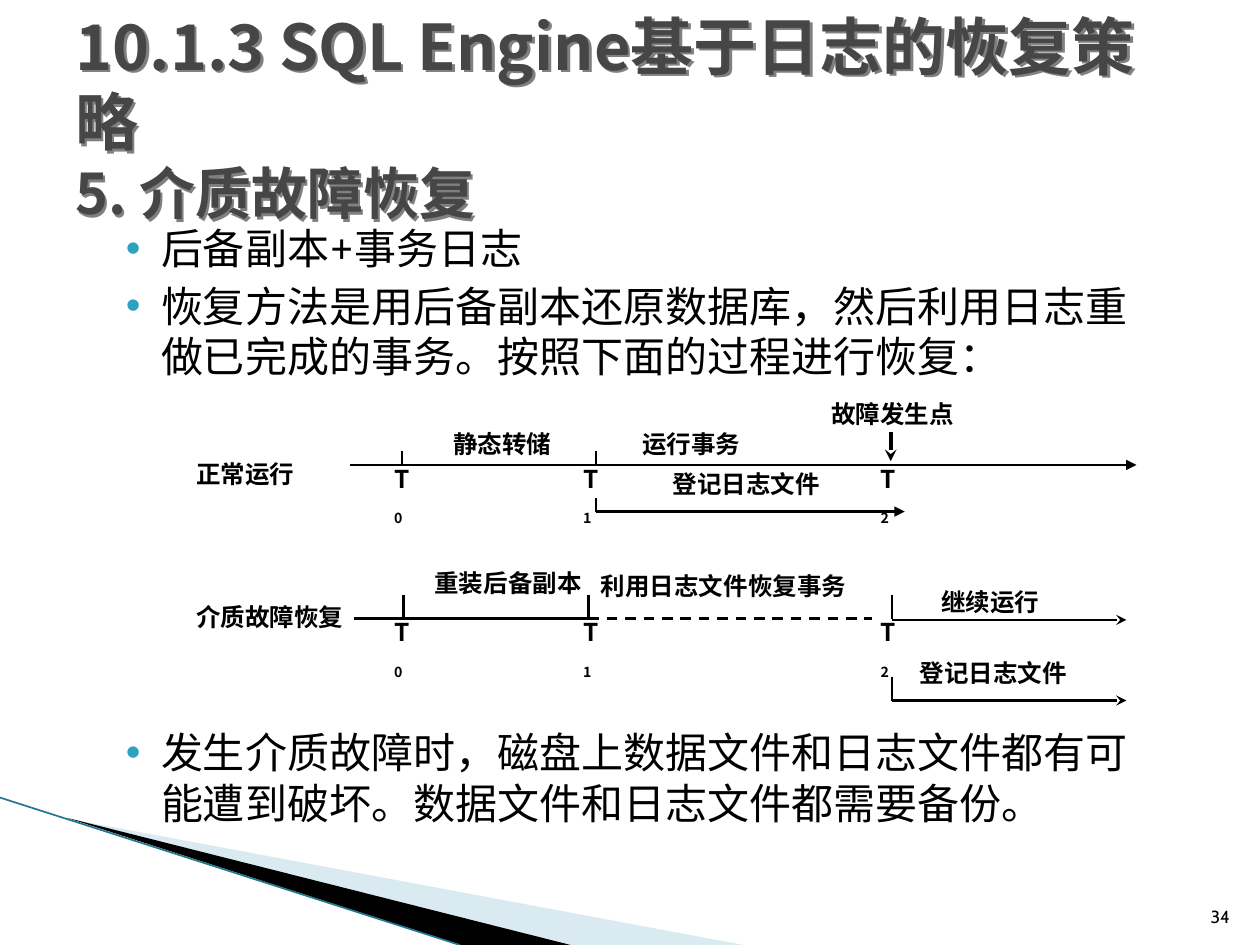
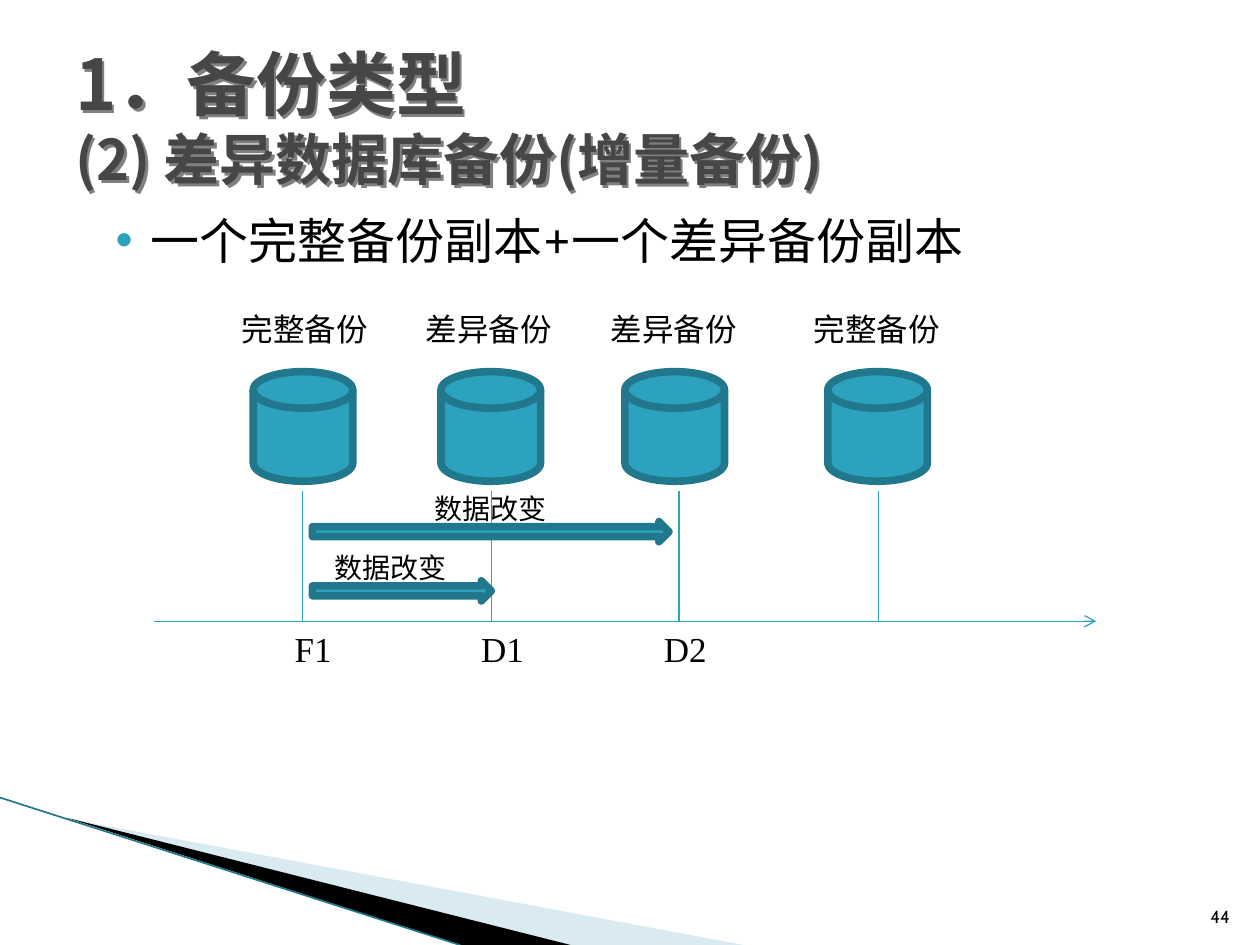
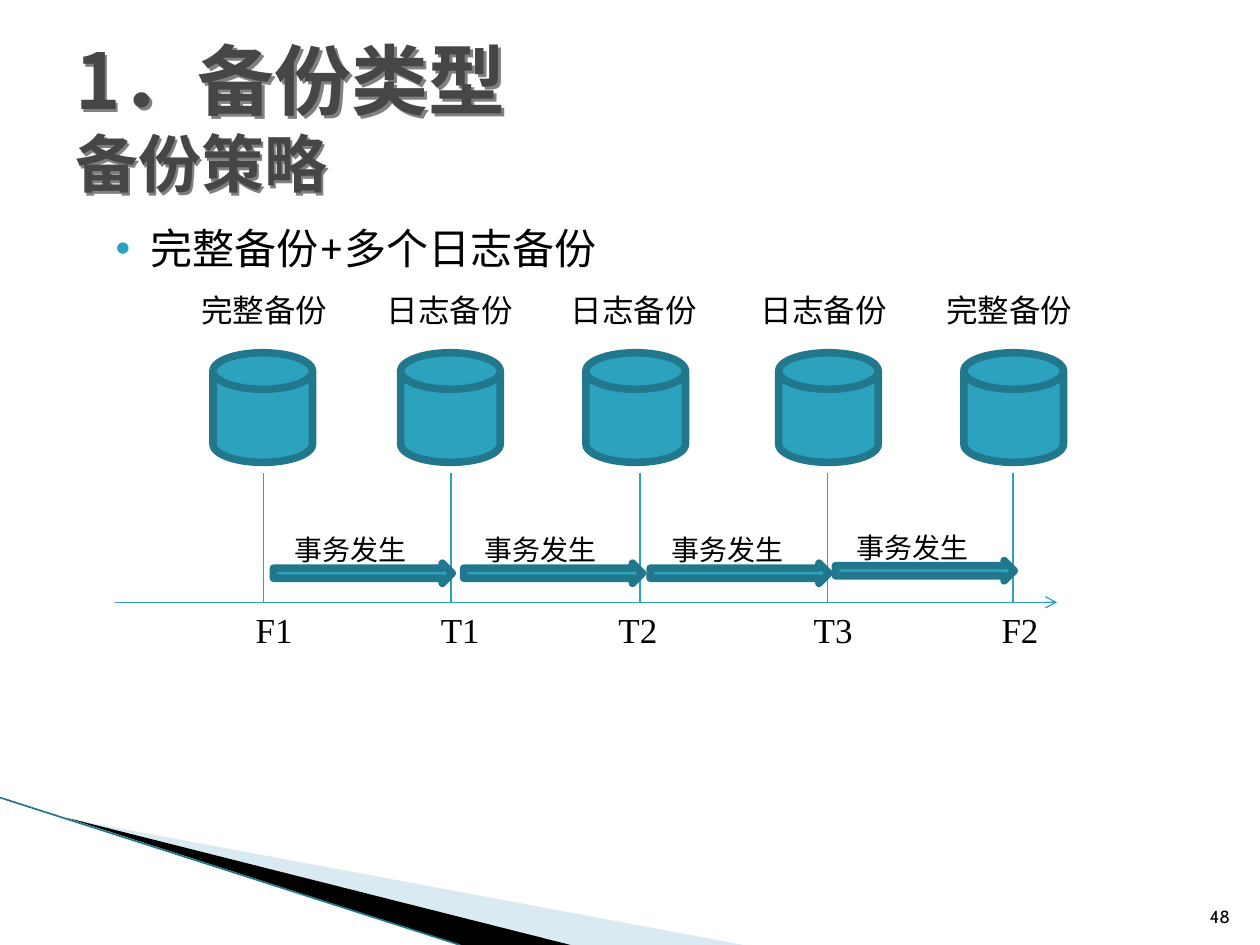
from lxml.etree import SubElement
from pptx import Presentation
from pptx.dml.color import RGBColor
from pptx.enum.dml import MSO_LINE_DASH_STYLE as DASH
from pptx.enum.shapes import MSO_CONNECTOR, MSO_SHAPE
from pptx.enum.text import MSO_ANCHOR, PP_ALIGN
from pptx.oxml.ns import qn
from pptx.util import Inches, Pt

COLORS = {"black": "000000", "title": "464646", "title_shadow": "808080",
          "teal": "2DA2BF", "dark_teal": "21788D", "pale": "A0CBDC"}
CJK, MONO, SANS, SERIF = "Noto Sans CJK SC", "Noto Sans Mono", "Cabin", "Times New Roman"

RECOVERY = {
    "number": 34,
    "title": [("10.1.3 SQL Engine基于日志的恢复策略", 36), ("5. 介质故障恢复", 32)],
    "bullets": [
        ((0.78, 1.72, 8.5, 1.34), 24,
         ["后备副本+事务日志",
          "恢复方法是用后备副本还原数据库，然后利用日志重做已完成的事务。按照下面的过程进行恢复："]),
        ((0.78, 5.72, 8.5, 0.89), 24,
         ["发生介质故障时，磁盘上数据文件和日志文件都有可能遭到破坏。数据文件和日志文件都需要备份。"]),
    ],
}
PHASES = [  # text, box
    ("故障发生点", (6.5, 3.12, 1.33, 0.33)),
    ("运行事务", (5, 3.36, 1.02, 0.44)),
    ("静态转储", (3.5, 3.36, 1.02, 0.44)),
    ("正常运行", (1.46, 3.59, 1.12, 0.33)),
    ("登记日志文件", (5.24, 3.67, 1.5, 0.31)),
    ("介质故障恢复", (1.46, 4.73, 1.57, 0.77)),
    ("利用日志文件恢复事务", (4.67, 4.48, 2.25, 0.77)),
    ("重装后备副本", (3.35, 4.46, 1.47, 0.77)),
    ("继续运行", (7.37, 4.61, 0.98, 0.58)),
    ("登记日志文件", (7.2, 5.17, 1.5, 0.31)),
]
SPANS = [  # left, right, y, arrowhead, dash
    (2.78, 9.02, 3.69, "triangle", None),
    (4.73, 7.18, 4.06, "triangle", None),
    (2.81, 4.67, 4.91, None, None),
    (4.67, 6.92, 4.91, None, DASH.DASH),
    (7.08, 8.94, 4.92, "stealth", None),
    (7.08, 8.94, 5.56, "stealth", None),
]
TICKS = [  # x, top, bottom
    (3.19, 3.58, 3.69), (4.73, 3.58, 3.69), (4.73, 3.95, 4.06),
    (3.2, 4.72, 4.91), (4.67, 4.72, 4.91), (7.08, 4.72, 4.91), (7.08, 5.37, 5.56),
]
TIME_LEFTS = [3.03, 4.53, 6.89]
TIME_TOPS = [3.63, 4.85]

DIFFERENTIAL = {
    "number": 44,
    "title": [("1．备份类型", 40), ("(2) 差异数据库备份(增量备份)", 32)],
    "bullets": [((0.7, 1.62, 8.97, 0.71), 28, ["一个完整备份副本+一个差异备份副本"])],
    "axis": (1.22, 8.7, 4.93),
    "backups": [  # label, label left, disk left, tick x, mark, mark left
        ("完整备份", 1.82, 2.01, 2.4, "F1", 2.24),
        ("差异备份", 3.28, 3.5, 3.9, "D1", 3.72),
        ("差异备份", 4.75, 4.96, 5.39, "D2", 5.17),
        ("完整备份", 6.36, 6.57, 6.97, None, None),
    ],
    "changes": [  # label, label left, arrow left, top, width
        ("数据改变", 2.56, 2.48, 4.61, 1.42),
        ("数据改变", 3.35, 2.48, 4.14, 2.83),
    ],
}
LOG_BACKUPS = {
    "number": 48,
    "title": [("1．备份类型", 44), ("备份策略", 36)],
    "bullets": [((0.7, 1.72, 8.83, 0.54), 24, ["完整备份+多个日志备份"])],
    "axis": (0.91, 8.39, 4.78),
    "backups": [
        ("完整备份", 1.5, 1.69, 2.09, "F1", 1.93),
        ("日志备份", 2.97, 3.18, 3.58, "T1", 3.4),
        ("日志备份", 4.43, 4.65, 5.08, "T2", 4.81),
        ("日志备份", 5.94, 6.18, 6.57, "T3", 6.36),
        ("完整备份", 7.41, 7.65, 8.04, "F2", 7.85),
    ],
    "changes": [("事务发生", left + 0.07, left, top, 1.42)
                for left, top in ((2.17, 4.47), (3.68, 4.47), (5.16, 4.47), (6.63, 4.45))],
}


def rgb(name):
    return RGBColor.from_string(COLORS[name])


def style(run, size, font, color="black", bold=False):
    run.font.size, run.font.name, run.font.bold = Pt(size), font, bold
    run.font.color.rgb = rgb(color)
    SubElement(run.font._element, qn("a:ea"), typeface=CJK)


def add_text(slide, box, lines, size, font, bold=False, wrap=True):
    frame = slide.shapes.add_textbox(*map(Inches, box)).text_frame
    frame.word_wrap = wrap
    frame.text = "\n".join(lines)
    for paragraph in frame.paragraphs:
        for run in paragraph.runs:
            style(run, size, font, bold=bold)
    return frame


def add_line(slide, start, end, color, width, head=None, dash=None):
    line = slide.shapes.add_connector(MSO_CONNECTOR.STRAIGHT, *map(Inches, start + end))
    line.line.color.rgb, line.line.width = rgb(color), Pt(width)
    if dash:
        line.line.dash_style = dash
    properties = line.element.spPr
    if head:
        SubElement(properties.find(qn("a:ln")), qn("a:tailEnd"), type=head)
    SubElement(properties, qn("a:effectLst"))


def add_wedge(slide, points, color, opacity=None):
    start, *rest = [tuple(map(Inches, point)) for point in points]
    builder = slide.shapes.build_freeform(*start)
    builder.add_line_segments(rest)
    wedge = builder.convert_to_shape()
    wedge.shadow.inherit = False
    wedge.fill.solid()
    wedge.fill.fore_color.rgb = rgb(color)
    wedge.line.fill.background()
    if opacity:
        fill = wedge.element.spPr.find(qn("a:solidFill"))
        SubElement(fill[0], qn("a:alpha"), val=str(opacity * 1000))


def add_teal_shape(slide, kind, box):
    shape = slide.shapes.add_shape(kind, *map(Inches, box))
    shape.shadow.inherit = False
    shape.fill.solid()
    shape.fill.fore_color.rgb = rgb("teal")
    shape.line.color.rgb, shape.line.width = rgb("dark_teal"), Pt(4.33)


def add_title(slide, title):
    """Two lines of different size in one paragraph; the unfilled box shadows its text."""
    box = slide.shapes.add_textbox(*map(Inches, (0.5, 0.3, 9, 1.25)))
    effects = SubElement(box.element.spPr, qn("a:effectLst"))
    shadow = SubElement(effects, qn("a:outerShdw"), dist=str(Pt(2)), dir="2700000")
    SubElement(shadow, qn("a:srgbClr"), val=COLORS["title_shadow"])
    frame = box.text_frame
    frame.word_wrap, frame.vertical_anchor = True, MSO_ANCHOR.MIDDLE
    paragraph = frame.paragraphs[0]
    paragraph.text = "\v".join(line for line, _ in title)
    for run, (_, size) in zip(paragraph.runs, title):
        style(run, size, CJK, "title", bold=True)


def add_bullets(slide, box, size, lines):
    frame = add_text(slide, box, lines, size, MONO)
    for index, paragraph in enumerate(frame.paragraphs):
        if index:
            paragraph.space_before = Pt(4)
        properties = paragraph._p.get_or_add_pPr()
        properties.set("marL", str(Inches(0.4)))
        properties.set("indent", str(Inches(-0.28)))
        bullet_color = SubElement(properties, qn("a:buClr"))
        SubElement(bullet_color, qn("a:srgbClr"), val=COLORS["teal"])
        SubElement(properties, qn("a:buFont"), typeface="Arial")
        SubElement(properties, qn("a:buChar"), char="•")


def start_slide(deck, content):
    slide = deck.slides.add_slide(deck.slide_layouts[6])
    add_wedge(slide, [(0.55, 6.5), (5.9, 7.5), (4.52, 7.5)], "pale", 40)
    add_wedge(slide, [(0.53, 6.49), (4.53, 7.5), (3.66, 7.5)], "black")
    add_line(slide, (0, 6.33), (3.65, 7.5), "dark_teal", 0.95)
    number = add_text(slide, (9.46, 7.01, 0.4, 0.4), [str(content["number"])],
                      10, SANS, wrap=False)
    number.vertical_anchor = MSO_ANCHOR.BOTTOM
    number.paragraphs[0].alignment = PP_ALIGN.RIGHT
    add_title(slide, content["title"])
    for bullets in content["bullets"]:
        add_bullets(slide, *bullets)
    return slide


def draw_recovery(slide):
    for left, right, y, head, dash in SPANS:
        add_line(slide, (left, y), (right, y), "black", 1.5, head, dash)
    for x, top, bottom in TICKS:
        add_line(slide, (x, top), (x, bottom), "black", 1.5)
    add_line(slide, (7.07, 3.43), (7.07, 3.66), "black", 2.25, "stealth")
    for phase, box in PHASES:
        add_text(slide, box, [phase], 14, CJK, bold=True)
    for top in TIME_TOPS:
        for index, left in enumerate(TIME_LEFTS):
            time = add_text(slide, (left, top, 0.37, 0.43), ["T"], 14, CJK,
                            bold=True).paragraphs[0]
            subscript = time.add_run()
            subscript.text = str(index)
            style(subscript, 14, CJK, bold=True)
            subscript.font._element.set("baseline", "-25000")


def draw_backup_timeline(slide, content):
    left, right, base = content["axis"]
    add_line(slide, (left, base), (right, base), "teal", 0.75, "arrow")
    for _, _, _, tick, _, _ in content["backups"]:
        add_line(slide, (tick, base), (tick, base - 1.03), "teal", 0.75)
    for label, label_left, arrow_left, top, width in content["changes"]:
        add_teal_shape(slide, MSO_SHAPE.RIGHT_ARROW, (arrow_left, top, width, 0.16))
        add_text(slide, (label_left, top - 0.29, 1.1, 0.37), [label], 16, SANS, wrap=False)
    for label, label_left, disk_left, _, mark, mark_left in content["backups"]:
        add_teal_shape(slide, MSO_SHAPE.FLOWCHART_MAGNETIC_DISK,
                       (disk_left, base - 1.98, 0.79, 0.87))
        add_text(slide, (label_left, base - 2.52, 1.21, 0.4), [label], 18, SANS, wrap=False)
        if mark:
            add_text(slide, (mark_left, base, 0.55, 0.44), [mark], 20, SERIF, wrap=False)


def main():
    deck = Presentation()
    deck.slide_width, deck.slide_height = Inches(10), Inches(7.5)
    draw_recovery(start_slide(deck, RECOVERY))
    for content in (DIFFERENTIAL, LOG_BACKUPS):
        draw_backup_timeline(start_slide(deck, content), content)
    deck.save("out.pptx")


if __name__ == "__main__":
    main()
